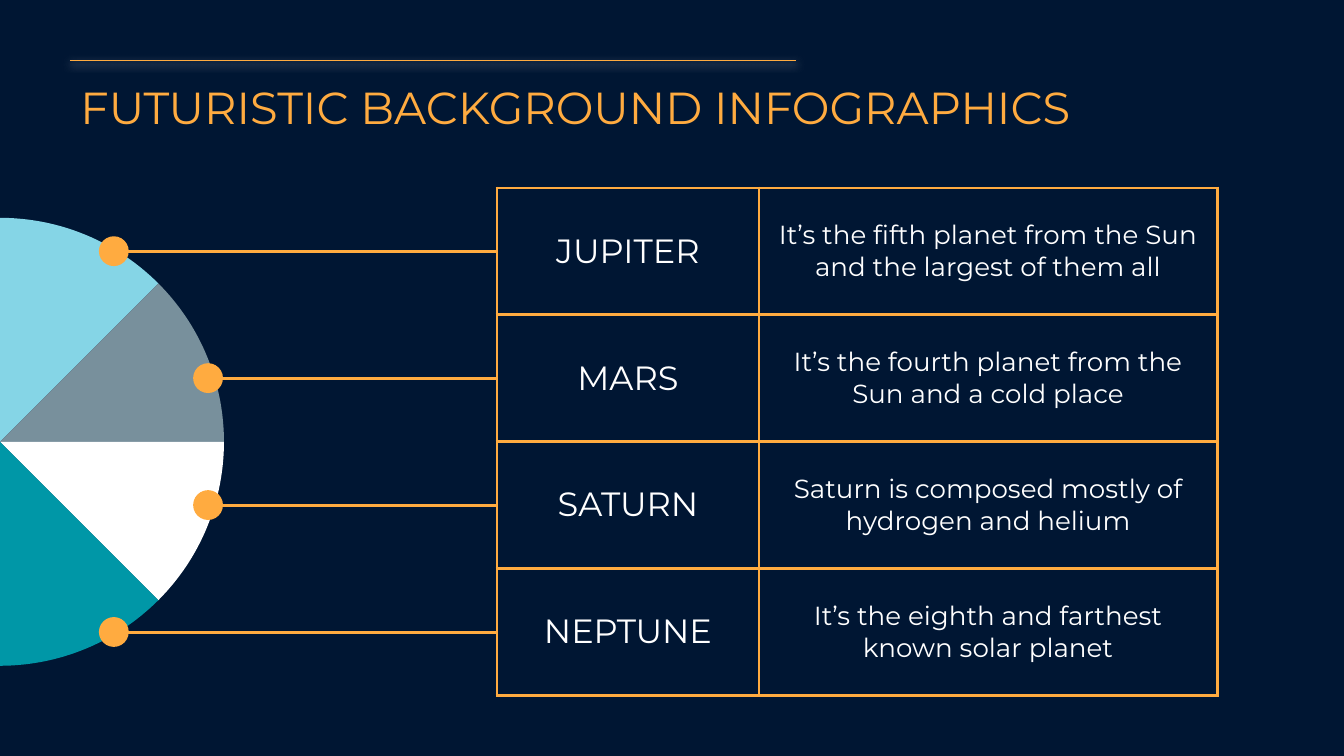
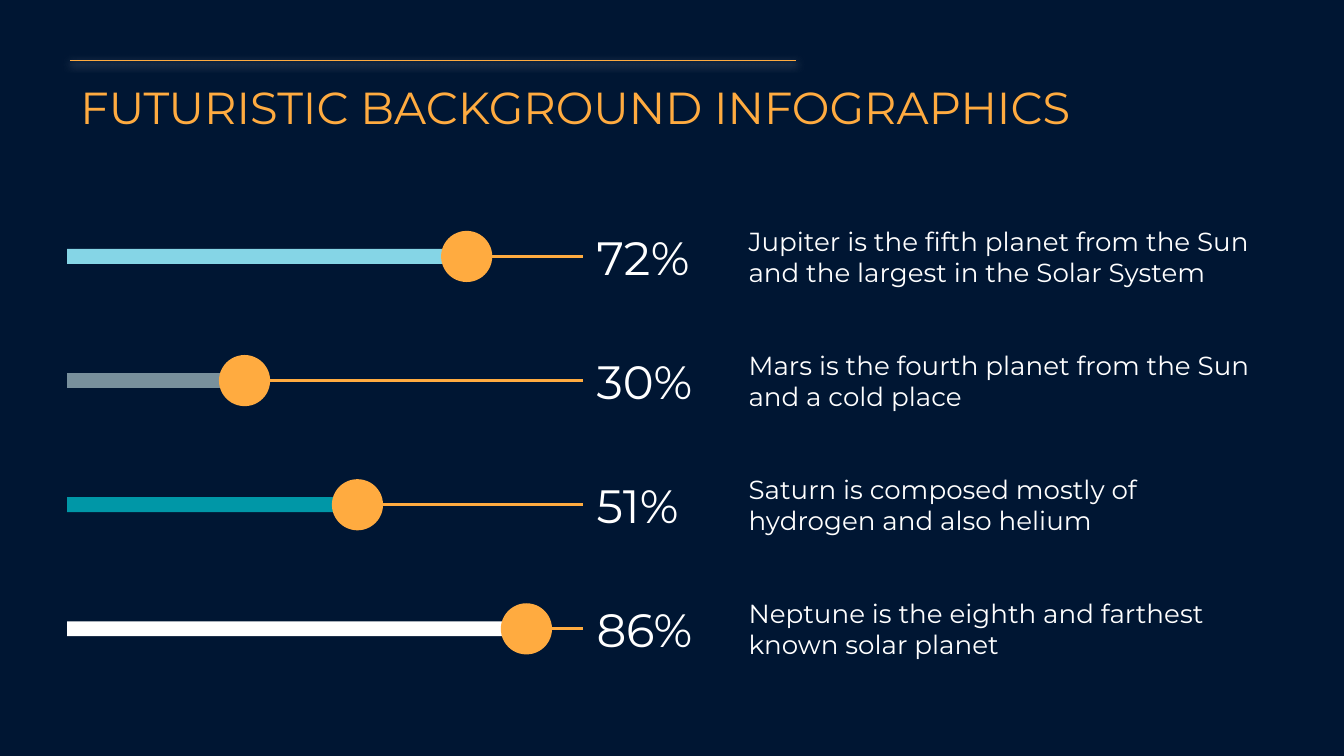
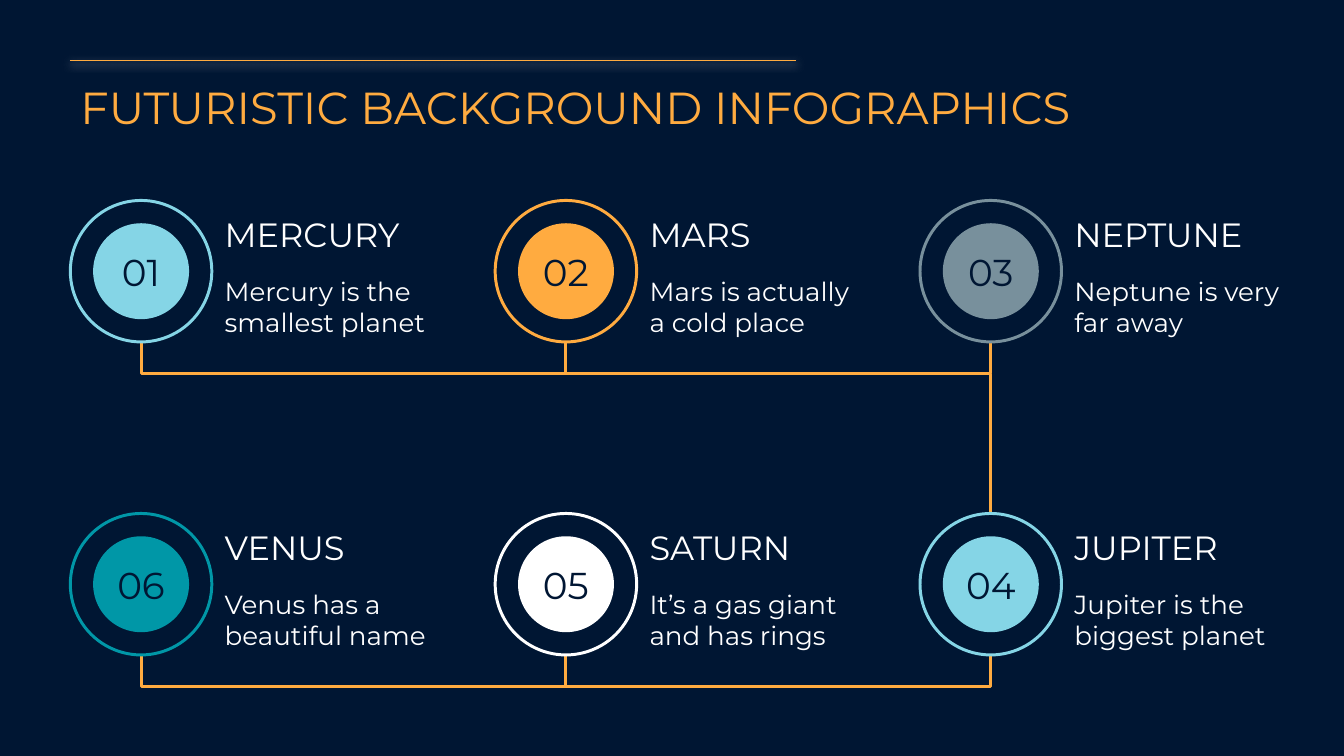
from math import cos, radians, sin

from lxml.etree import SubElement
from pptx import Presentation
from pptx.dml.color import RGBColor
from pptx.enum.shapes import MSO_CONNECTOR as Connector, MSO_SHAPE as Shape
from pptx.enum.text import MSO_ANCHOR as Anchor, PP_ALIGN as Align
from pptx.oxml import parse_xml
from pptx.oxml.ns import nsdecls, qn
from pptx.util import Pt

NAVY = RGBColor(0x00, 0x16, 0x33)
ORANGE = RGBColor(0xFF, 0xAB, 0x40)
SKY = RGBColor(0x85, 0xD5, 0xE6)
GRAY = RGBColor(0x78, 0x90, 0x9C)
TEAL = RGBColor(0x00, 0x97, 0xA7)
WHITE = RGBColor(0xFF, 0xFF, 0xFF)
FONT = "Montserrat"
INSET = Pt(7.2)


def write(holder, text, size, color=WHITE, align=Align.LEFT, anchor=Anchor.MIDDLE):
    """Put one line of styled text in a box, a shape or a table cell."""
    frame = holder.text_frame
    frame.word_wrap = True
    area = holder if hasattr(holder, "vertical_anchor") else frame
    area.vertical_anchor = anchor
    area.margin_left = area.margin_right = INSET
    area.margin_top = area.margin_bottom = INSET
    para = frame.paragraphs[0]
    para.alignment = align
    span = para.add_run()
    span.text = text
    span.font.name = FONT
    span.font.size = Pt(size)
    span.font.color.rgb = color


def draw_line(page, x1, y1, x2, y2, width=1.6):
    line = page.shapes.add_connector(Connector.STRAIGHT, Pt(x1), Pt(y1), Pt(x2), Pt(y2))
    line.line.color.rgb = ORANGE
    line.line.width = Pt(width)
    return line


deck = Presentation()
deck.slide_width, deck.slide_height = Pt(720), Pt(405)
background = deck.slide_master.background.fill
background.solid()
background.fore_color.rgb = NAVY

# Shared header: glowing rule and title
pages = [deck.slides.add_slide(deck.slide_layouts[6]) for _ in range(3)]
for page in pages:
    rule = draw_line(page, 37.4, 32.5, 426.4, 32.5, 0.75)
    rule.element.spPr.append(parse_xml(
        f'<a:effectLst {nsdecls("a")}><a:outerShdw blurRad="{Pt(4.5)}" dist="{Pt(1.5)}" '
        f'dir="5400000" algn="bl" rotWithShape="0"><a:srgbClr val="{WHITE}">'
        '<a:alpha val="50000"/></a:srgbClr></a:outerShdw></a:effectLst>'))
    title = page.shapes.add_textbox(Pt(36), Pt(35.3), Pt(630), Pt(37.4))
    write(title, "FUTURISTIC BACKGROUND INFOGRAPHICS", 24, ORANGE, anchor=Anchor.TOP)
table_page, slider_page, route_page = pages

# Slide 1: planet table
planets = [
    ("JUPITER", "It’s the fifth planet from the Sun and the largest of them all"),
    ("MARS", "It’s the fourth planet from the Sun and a cold place"),
    ("SATURN", "Saturn is composed mostly of hydrogen and helium"),
    ("NEPTUNE", "It’s the eighth and farthest known solar planet"),
]
table_left, table_top, row_height = 266.2, 100.6, 68
table = table_page.shapes.add_table(4, 2, Pt(table_left), Pt(table_top),
                                    Pt(386), Pt(4 * row_height)).table
table.first_row = table.horz_banding = False
table.columns[0].width, table.columns[1].width = Pt(140.4), Pt(245.6)
for row, planet in enumerate(planets):
    table.rows[row].height = Pt(row_height)
    for column, size in enumerate((18, 14)):
        cell = table.cell(row, column)
        write(cell, planet[column], size, align=Align.CENTER)
        cell.fill.background()
        properties = cell._tc.get_or_add_tcPr()
        for index, side in enumerate("LRTB"):
            properties.insert(index, parse_xml(
                f'<a:ln{side} {nsdecls("a")} w="{Pt(1.5)}"><a:solidFill>'
                f'<a:srgbClr val="{ORANGE}"/></a:solidFill></a:ln{side}>'))

# Slide 1: leader lines, half wheel of four 45-degree wedges, dots
dots = [(x, table_top + (row + 0.5) * row_height)
        for row, x in enumerate((61, 111.5, 111.5, 61))]
for x, y in dots:
    draw_line(table_page, table_left, y, x, y)
hub_y, radius = 236.7, 120
for index, color in enumerate((SKY, GRAY, WHITE, TEAL)):
    start = -90 + 45 * index
    arc = [(Pt(radius * cos(radians(angle))), Pt(hub_y + radius * sin(radians(angle))))
           for angle in range(start, start + 46)]
    outline = table_page.shapes.build_freeform(Pt(0), Pt(hub_y))
    outline.add_line_segments(arc, close=True)
    wedge = outline.convert_to_shape()
    wedge.fill.solid()
    wedge.fill.fore_color.rgb = color
    wedge.line.fill.background()
for x, y in dots:
    dot = table_page.shapes.add_shape(Shape.OVAL, Pt(x - 8), Pt(y - 8), Pt(16), Pt(16))
    dot.fill.solid()
    dot.fill.fore_color.rgb = ORANGE
    dot.line.fill.background()

# Slide 2: sliders with value and description
sliders = [
    ("72%", 250, SKY,
     "Jupiter is the fifth planet from the Sun and the largest in the Solar System"),
    ("30%", 131, GRAY, "Mars is the fourth planet from the Sun and a cold place"),
    ("51%", 191.5, TEAL, "Saturn is composed mostly of hydrogen and also helium"),
    ("86%", 282, WHITE, "Neptune is the eighth and farthest known solar planet"),
]
for index, (value, knob_x, color, description) in enumerate(sliders):
    y = 137.4 + 66.5 * index
    draw_line(slider_page, 36.7, y, 312.4, y, 1.5)
    bar = slider_page.shapes.add_shape(Shape.RECTANGLE, Pt(36), Pt(y - 4),
                                       Pt(knob_x - 36), Pt(8))
    knob = slider_page.shapes.add_shape(Shape.OVAL, Pt(knob_x - 13.7), Pt(y - 13.7),
                                        Pt(27.4), Pt(27.4))
    for part, part_color in ((bar, color), (knob, ORANGE)):
        part.fill.solid()
        part.fill.fore_color.rgb = part_color
        part.line.fill.background()
    value_box = slider_page.shapes.add_textbox(Pt(312.5), Pt(y - 15.8), Pt(95), Pt(31.6))
    write(value_box, value, 25)
    description_box = slider_page.shapes.add_textbox(Pt(393.9), Pt(y - 21.6),
                                                     Pt(290), Pt(43.2))
    write(description_box, description, 14)

# Slide 3: rails under both rows and the link between them
columns = [75.6 + 227.6 * index for index in range(3)]
rows = [145.3, 313]
ring_radius, rail_drop = 37.9, 54.8
for row_y in rows:
    ring_bottom, rail_y = row_y + ring_radius, row_y + rail_drop
    outline = route_page.shapes.build_freeform(Pt(columns[0]), Pt(ring_bottom))
    corners = [(columns[0], rail_y), (columns[2], rail_y), (columns[2], ring_bottom)]
    outline.add_line_segments([(Pt(x), Pt(y)) for x, y in corners], close=False)
    rail = outline.convert_to_shape()
    rail.fill.background()
    rail.line.color.rgb = ORANGE
    rail.line.width = Pt(1.6)
    draw_line(route_page, columns[1], rail_y, columns[1], ring_bottom)
draw_line(route_page, columns[2], rows[0] + rail_drop, columns[2], rows[1] - ring_radius)

# Slide 3: numbered stops
stops = [
    ("01", SKY, "MERCURY", "Mercury is the smallest planet"),
    ("02", ORANGE, "MARS", "Mars is actually a cold place"),
    ("03", GRAY, "NEPTUNE", "Neptune is very far away"),
    ("06", TEAL, "VENUS", "Venus has a beautiful name"),
    ("05", WHITE, "SATURN", "It’s a gas giant and has rings"),
    ("04", SKY, "JUPITER", "Jupiter is the biggest planet"),
]
for index, (number, color, name, fact) in enumerate(stops):
    x, y = columns[index % 3], rows[index // 3]
    disc, ring = [
        route_page.shapes.add_shape(Shape.OVAL, Pt(x - half), Pt(y - half),
                                    Pt(2 * half), Pt(2 * half))
        for half in (25.7, ring_radius)]
    disc.fill.solid()
    disc.fill.fore_color.rgb = color
    disc.line.fill.background()
    write(disc, number, 20, NAVY, Align.CENTER)
    disc.text_frame.word_wrap = False
    ring.fill.background()
    ring.line.color.rgb = color
    ring.line.width = Pt(1.6)
    name_box = route_page.shapes.add_textbox(Pt(x + 37.7), Pt(y - 45.2), Pt(129.6), Pt(43.2))
    write(name_box, name, 18, anchor=Anchor.BOTTOM)
    fact_box = route_page.shapes.add_textbox(Pt(x + 37.7), Pt(y - 5), Pt(129.6), Pt(50.4))
    write(fact_box, fact, 14, anchor=Anchor.TOP)

# Switch off theme shadows everywhere but on the header rule
for page in pages:
    for shape in page.shapes:
        if not shape.has_table and shape.element.spPr.find(qn("a:effectLst")) is None:
            SubElement(shape.element.spPr, qn("a:effectLst"))

deck.save("out.pptx")
